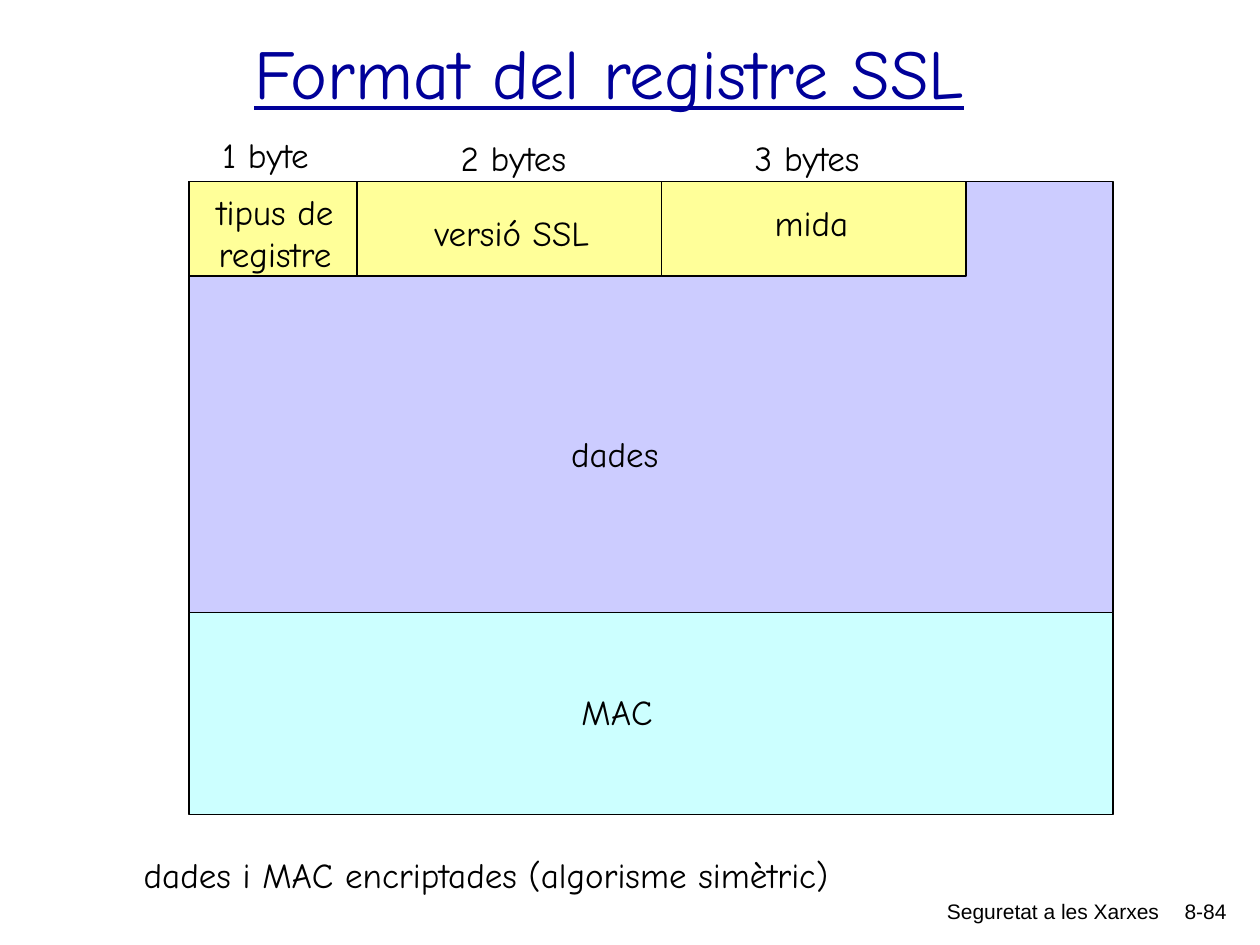
import pptx
import pptx.dml.color
import pptx.enum.shapes
import pptx.enum.text
import pptx.util

RGBColor = pptx.dml.color.RGBColor
PP_ALIGN = pptx.enum.text.PP_ALIGN
ANCHOR = pptx.enum.text.MSO_ANCHOR
AUTO_SIZE = pptx.enum.text.MSO_AUTO_SIZE

BLACK = RGBColor(0x00, 0x00, 0x00)
NAVY = RGBColor(0x00, 0x00, 0x99)
LILAC = RGBColor(0xCC, 0xCC, 0xFF)
YELLOW = RGBColor(0xFF, 0xFF, 0x99)
AQUA = RGBColor(0xCC, 0xFF, 0xFF)

CELL = pptx.util.Inches(1) // 12
LINE_H = 5.3
LEFT, RIGHT = 18, 106
TOP, HEADER_H, MAC_TOP, BOTTOM = 17.3, 9, 58.33, 77.6
FIELD_EDGES = [18, 34, 63, 92]

BODY = {"name": "Comic Neue", "size": pptx.util.Pt(20)}
TITLE = {"name": "Comic Neue", "size": pptx.util.Pt(40), "underline": True}
FOOTER = {"name": "Arial", "size": pptx.util.Pt(12)}

FREE = {"word_wrap": False, "auto_size": AUTO_SIZE.SHAPE_TO_FIT_TEXT}
WRAPPED = {"word_wrap": True}
MIDDLE = {"word_wrap": True, "vertical_anchor": ANCHOR.MIDDLE}

LABELS = [
    ("versió SSL", 40.2, 19.6, 17.2),
    ("mida", 72.6, 18.6, 9.4),
    ("MAC", 54.2, 65.2, 9.4),
    ("dades", 53.2, 40.6, 10.7),
    ("1 byte", 20, 12.1, 10.7),
    ("2 bytes", 42.7, 12.4, 12.5),
    ("3 bytes", 70.7, 12.4, 12.5),
    ("dades i MAC encriptades (algorisme simètric)", 12.5, 80.65, 67.8),
]


def grid(*units):
    """Turn grid columns and rows into lengths."""
    return [round(u * CELL) for u in units]


def add_block(s, left, top, right, bottom, fill):
    """Add an outlined rectangle between grid edges."""
    sp = s.shapes.add_shape(pptx.enum.shapes.MSO_SHAPE.RECTANGLE,
                            *grid(left, top, right - left, bottom - top))
    sp.shadow.inherit = False
    sp.fill.solid()
    sp.fill.fore_color.rgb = fill
    sp.line.color.rgb = BLACK
    sp.line.width = pptx.util.Pt(0.75)


def add_text(s, text, box, font=BODY, color=BLACK, align=PP_ALIGN.LEFT,
             frame=FREE):
    """Add a text box with one paragraph per line of text."""
    tf = s.shapes.add_textbox(*grid(*box)).text_frame
    tf.text = text
    for key, value in frame.items():
        setattr(tf, key, value)
    for p in tf.paragraphs:
        p.alignment = align
        for r in p.runs:
            for key, value in font.items():
                setattr(r.font, key, value)
            r.font.color.rgb = color


def main():
    """Build the record format slide."""
    prs = pptx.Presentation()
    prs.slide_width, prs.slide_height = grid(120, 90)
    s = prs.slides.add_slide(prs.slide_layouts[6])

    add_text(s, "Format del registre SSL", (7, 1.1, 102, 11.4), TITLE, NAVY,
             PP_ALIGN.CENTER, MIDDLE)
    add_block(s, LEFT, TOP, RIGHT, MAC_TOP, LILAC)
    for left, right in zip(FIELD_EDGES, FIELD_EDGES[1:]):
        add_block(s, left, TOP, right, TOP + HEADER_H, YELLOW)
    add_block(s, LEFT, MAC_TOP, RIGHT, BOTTOM, AQUA)

    add_text(s, "tipus de\nregistre", (19.4, 17.55, 13.6, 9.2),
             align=PP_ALIGN.CENTER)
    for text, left, top, width in LABELS:
        add_text(s, text, (left, top, width, LINE_H))
    for text, left, width in [("Seguretat a les Xarxes", 61, 50.6),
                              ("8-84", 109.1, 8.9)]:
        add_text(s, text, (left, 85, width, 4), FOOTER,
                 align=PP_ALIGN.RIGHT, frame=WRAPPED)
    prs.save("out.pptx")


if __name__ == "__main__":
    main()
